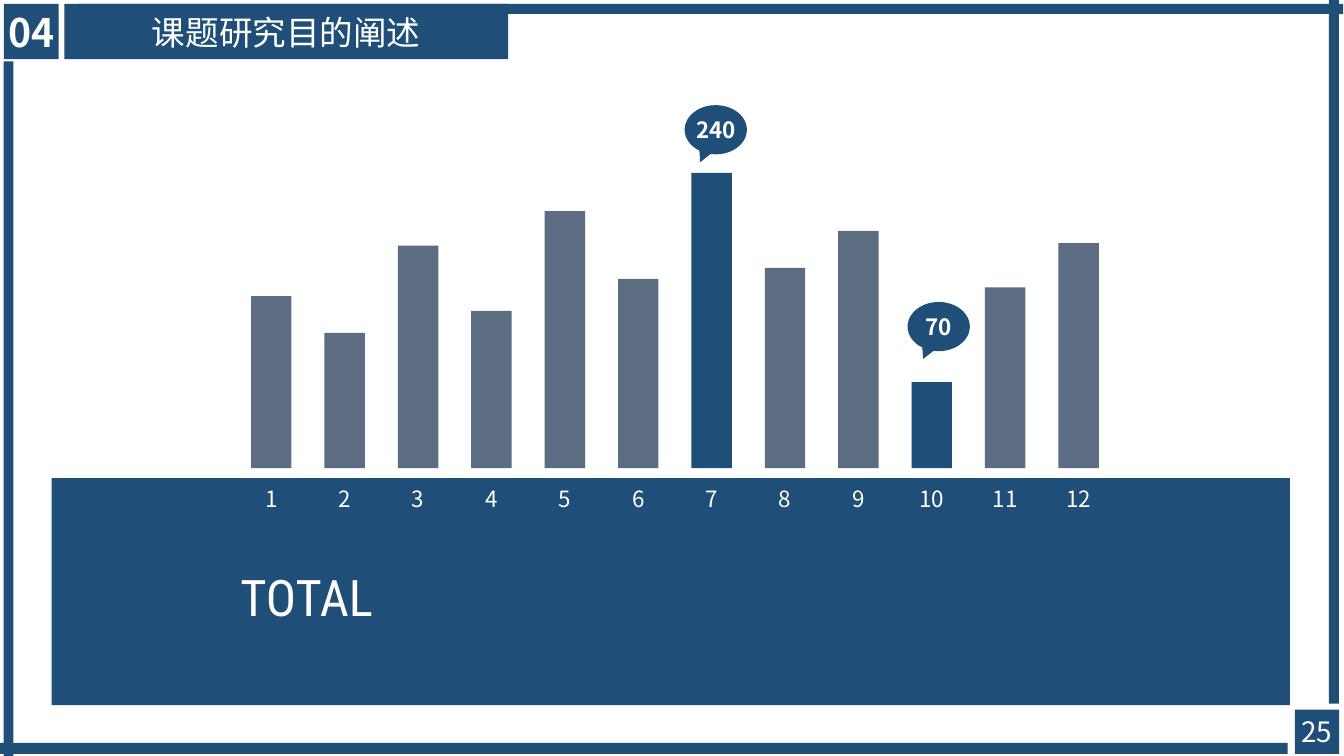
"""Build the slide with the twelve-bar comparison and its total panel."""
from dataclasses import dataclass

from lxml import etree
from pptx import Presentation
from pptx.dml.color import RGBColor
from pptx.enum.shapes import MSO_SHAPE
from pptx.enum.text import MSO_ANCHOR, MSO_AUTO_SIZE, PP_ALIGN
from pptx.oxml.ns import qn
from pptx.util import Cm, Pt

RECT = MSO_SHAPE.RECTANGLE
CALLOUT = MSO_SHAPE.OVAL_CALLOUT
MIDDLE = MSO_ANCHOR.MIDDLE
NO_AUTOFIT = MSO_AUTO_SIZE.NONE
CENTER, RIGHT = PP_ALIGN.CENTER, PP_ALIGN.RIGHT

NAVY = RGBColor(0x1F, 0x4E, 0x79)
SLATE = RGBColor(0x5B, 0x6C, 0x83)
WHITE = RGBColor(0xFF, 0xFF, 0xFF)
SANS = "Noto Sans CJK SC"
CONDENSED = "Roboto Condensed"
TITLE_ONLY = 5

VALUES = [140, 110, 181, 128, 209, 154, 240, 163, 193, 70, 147, 183]
HIGHLIGHTS = {240, 70}
BAR_LEFT, BAR_WIDTH, BAR_PITCH = 6.33, 1.02, 1.85
BASELINE = 11.8
CM_PER_UNIT = 0.031
LABEL_WIDTH = 1.39


@dataclass
class Box:
    left: float
    top: float
    width: float
    height: float

    def lengths(self) -> tuple:
        return Cm(self.left), Cm(self.top), Cm(self.width), Cm(self.height)


FRAME = [
    Box(1.96, 0.1, 31.9, 0.25),
    Box(0, 18.72, 32.46, 0.28),
    Box(33.5, 0, 0.25, 17.73),
    Box(0.09, 1.55, 0.25, 17.5),
]
PANEL = Box(1.3, 12.05, 31.22, 5.72)
TOTAL = Box(4.24, 13.94, 5.16, 2.18)
SECTION = Box(0.1, 0.1, 1.38, 1.39)
TITLE = Box(1.62, 0.1, 11.19, 1.39)
PAGE = Box(32.64, 17.88, 1.12, 1.12)
CALLOUTS = {"240": Box(17.26, 2.65, 1.57, 1.24), "70": Box(22.88, 7.61, 1.57, 1.24)}


def write(sp, text: str, size: float = 16, bold: bool = False,
          font: str = SANS, align=CENTER) -> None:
    tf = sp.text_frame
    tf.word_wrap = True
    tf.auto_size = NO_AUTOFIT
    tf.vertical_anchor = MIDDLE
    tf.margin_left = tf.margin_top = tf.margin_right = tf.margin_bottom = 0
    p = tf.paragraphs[0]
    p.alignment = align
    r = p.add_run()
    r.text = text
    r.font.size = Pt(size)
    r.font.bold = bold
    r.font.name = font
    r.font.color.rgb = WHITE
    etree.SubElement(r.font._element, qn("a:ea"), typeface=font)


def paint(sp, fill: RGBColor) -> None:
    sp.fill.solid()
    sp.fill.fore_color.rgb = fill
    sp.line.fill.background()


def add_box(s, box: Box, fill: RGBColor = NAVY, kind=RECT):
    sp = s.shapes.add_shape(kind, *box.lengths())
    sp.shadow.inherit = False
    paint(sp, fill)
    return sp


def add_text(s, box: Box, text: str, **style) -> None:
    write(s.shapes.add_textbox(*box.lengths()), text, **style)


def add_title(s, text: str) -> None:
    sp = s.shapes.title
    sp.left, sp.top, sp.width, sp.height = TITLE.lengths()
    paint(sp, NAVY)
    write(sp, text, size=24)


def add_bars(s) -> None:
    for i, value in enumerate(VALUES):
        left = BAR_LEFT + i * BAR_PITCH
        height = value * CM_PER_UNIT
        fill = NAVY if value in HIGHLIGHTS else SLATE
        add_box(s, Box(left, BASELINE - height, BAR_WIDTH, height), fill)
        label_left = left + (BAR_WIDTH - LABEL_WIDTH) / 2
        add_text(s, Box(label_left, 12.14, LABEL_WIDTH, 0.86), str(i + 1))


def add_callouts(s) -> None:
    for text, box in CALLOUTS.items():
        sp = add_box(s, box, kind=CALLOUT)
        sp.adjustments[0], sp.adjustments[1] = -0.25, 0.66
        write(sp, text, bold=True)


def main() -> None:
    prs = Presentation()
    prs.slide_width, prs.slide_height = Cm(33.88), Cm(19.05)
    s = prs.slides.add_slide(prs.slide_layouts[TITLE_ONLY])
    add_title(s, "课题研究目的阐述")
    for box in FRAME:
        add_box(s, box)
    add_box(s, PANEL)
    add_bars(s)
    add_callouts(s)
    add_text(s, TOTAL, "TOTAL", size=36, font=CONDENSED, align=RIGHT)
    write(add_box(s, SECTION), "04", size=28, bold=True)
    write(add_box(s, PAGE), "25", size=20)
    prs.save("out.pptx")


if __name__ == "__main__":
    main()
